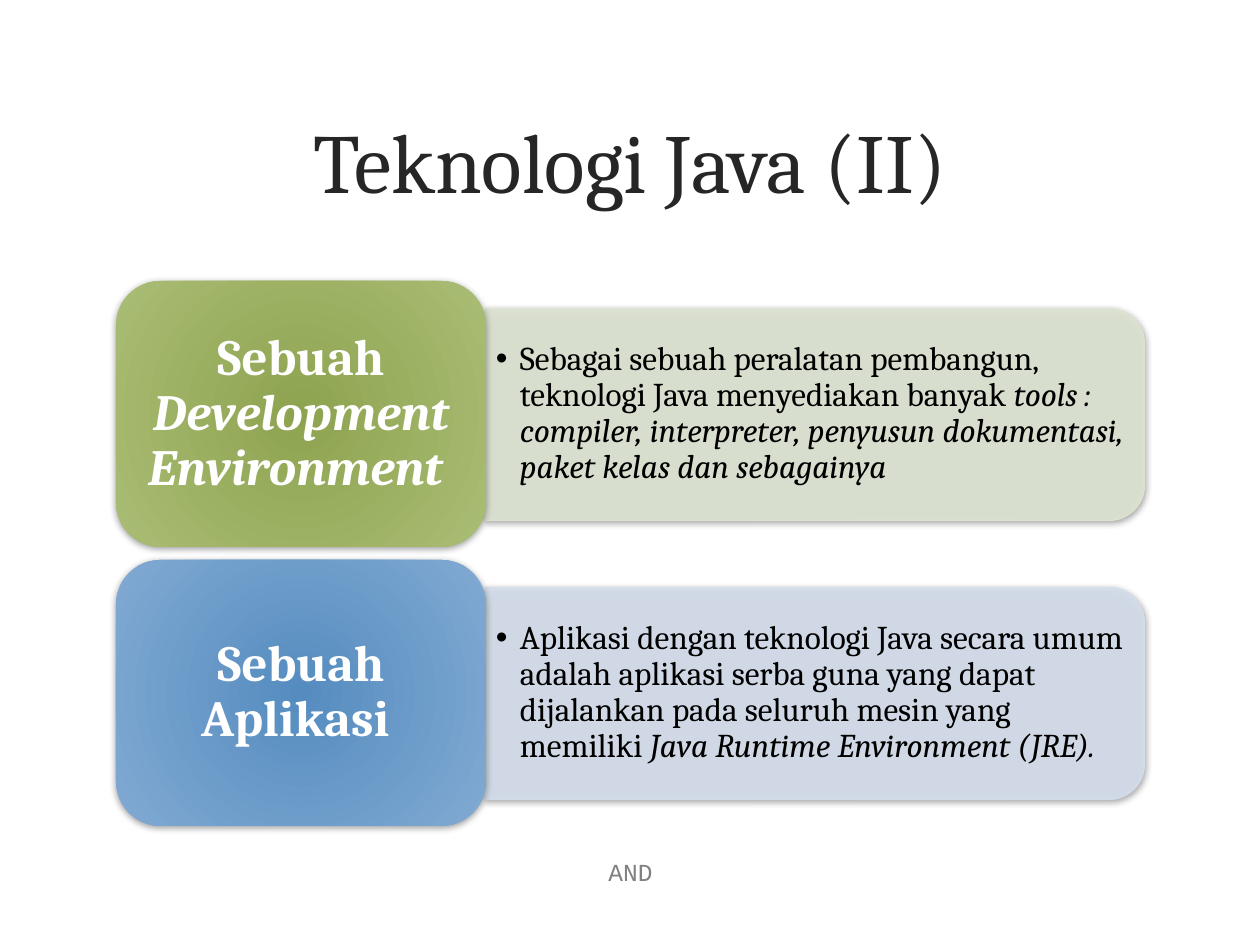
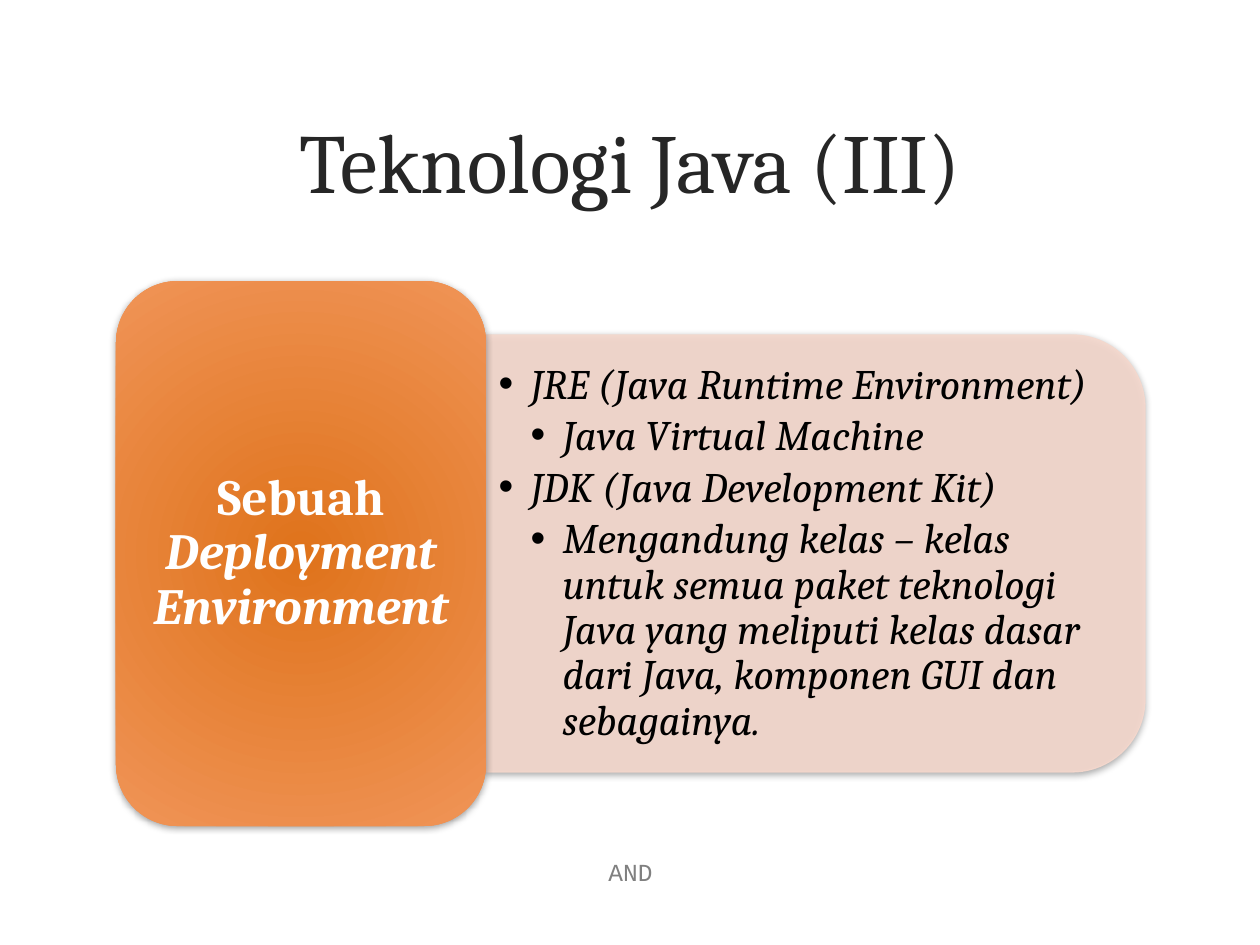
from dataclasses import dataclass
from typing import NamedTuple

from lxml.etree import SubElement
from pptx import Presentation
from pptx.dml.color import RGBColor as Rgb
from pptx.enum.shapes import MSO_SHAPE as Shape
from pptx.enum.text import MSO_ANCHOR as Anchor, MSO_AUTO_SIZE as AutoSize, PP_ALIGN as Align
from pptx.oxml.ns import qn
from pptx.util import Emu, Pt


class Box(NamedTuple):
    left: int
    top: int
    width: int
    height: int


@dataclass(frozen=True)
class Theme:
    serif: str = "Cambria"
    mono: str = "Courier New"
    title: str = "262626"
    text: str = "000000"
    label: str = "FFFFFF"
    footer: str = "808080"
    title_size: int = 48
    label_size: int = 29
    footer_size: int = 14
    list_sizes: tuple = (19, 24)
    list_indents: tuple = (24, 32)
    green: tuple = ("8EA350", "AABD75", "DEE4D2")
    blue: tuple = ("558CBF", "81AAD3", "D4DEEB")
    orange: tuple = ("DF731B", "F09457", "F5D8CD")


THEME = Theme()
PAGE = Box(0, 0, 1260, 945)
TITLE = Box(76, 60, 1108, 199)
DIAGRAM = Box(116, 281, 1029, 545)
FOOTER = Box(431, 847, 399, 50)
TAB_WIDTH = 370
CARD_GAP = 13
CORNER = 0.1667
CORNER_INSET = 0.29
TITLE_ONE_LIST, TITLE_TWO_LISTS = 1, 3

SLIDES = [
    dict(
        title="Teknologi Java (II)",
        layout=TITLE_TWO_LISTS,
        list_style=0,
        cards=[
            dict(
                colours=THEME.green,
                label=[("Sebuah ", False), ("Development Environment ", True)],
                items=[(0, [
                    ("Sebagai sebuah peralatan pembangun, teknologi Java menyediakan banyak ", False),
                    ("tools : compiler, interpreter, penyusun dokumentasi, "
                     "paket kelas dan sebagainya", True),
                ])],
            ),
            dict(
                colours=THEME.blue,
                label=[("Sebuah Aplikasi ", False)],
                items=[(0, [
                    ("Aplikasi dengan teknologi Java secara umum adalah aplikasi serba guna "
                     "yang dapat dijalankan pada seluruh mesin yang memiliki ", False),
                    ("Java Runtime Environment (JRE).", True),
                ])],
            ),
        ],
    ),
    dict(
        title="Teknologi Java (III)",
        layout=TITLE_ONE_LIST,
        list_style=1,
        cards=[
            dict(
                colours=THEME.orange,
                label=[("Sebuah ", False), ("Deployment Environment ", True)],
                items=[
                    (0, [("JRE (Java Runtime Environment)", True)]),
                    (1, [("Java Virtual Machine", True)]),
                    (0, [("JDK (Java Development Kit)", True)]),
                    (1, [("Mengandung kelas – kelas untuk semua paket teknologi Java yang "
                          "meliputi kelas dasar dari Java, komponen GUI dan sebagainya.", True)]),
                ],
            ),
        ],
    ),
]


def px(length):
    return Emu(round(length * 914400 / 126))


def assign(target, values):
    for name, value in values.items():
        setattr(target, name, value)


def place(shape, box):
    assign(shape, {name: px(value) for name, value in box._asdict().items()})


def set_frame(frame, inset=7.2):
    assign(frame, dict(
        word_wrap=True, auto_size=AutoSize.NONE, vertical_anchor=Anchor.MIDDLE,
        margin_left=Pt(inset), margin_right=Pt(inset),
        margin_top=Pt(inset / 2), margin_bottom=Pt(inset / 2),
    ))


def write(para, spans, size, colour, name=THEME.serif, bold=False, **layout):
    assign(para, layout)
    for text, italic in spans:
        span = para.add_run()
        span.text = text
        assign(span.font, dict(size=Pt(size), name=name, bold=bold, italic=italic))
        span.font.color.rgb = Rgb.from_string(colour)


def add_shadow(shape):
    shape.shadow.inherit = False
    effects = shape.element.spPr.find(qn("a:effectLst"))
    shadow = SubElement(effects, qn("a:outerShdw"), blurRad="50800", dist="12700",
                        dir="5400000", rotWithShape="0")
    colour = SubElement(shadow, qn("a:srgbClr"), val="000000")
    SubElement(colour, qn("a:alpha"), val="37000")


def fill_panel(panel, colour):
    panel.fill.solid()
    panel.line.width = Pt(0.75)
    for paint in (panel.fill.fore_color, panel.line.color):
        paint.rgb = Rgb.from_string(colour)
    for node in panel.element.spPr.iter(qn("a:srgbClr")):
        SubElement(node, qn("a:alpha"), val="90000")


def fill_tab(tab, colours):
    tab.line.fill.background()
    tab.fill.gradient()
    for stop, colour in zip(tab.fill.gradient_stops, colours):
        stop.color.rgb = Rgb.from_string(colour)
    gradient = tab.element.spPr.find(qn("a:gradFill"))
    gradient.remove(gradient.find(qn("a:lin")))
    circle = SubElement(gradient, qn("a:path"), path="circle")
    SubElement(circle, qn("a:fillToRect"), l="40000", t="100000", r="40000", b="100000")


def add_panel(page, box, colour):
    shift = (box.width - box.height) // 2
    upright = Box(box.left + shift, box.top - shift, box.height, box.width)
    panel = page.shapes.add_shape(Shape.ROUND_2_SAME_RECTANGLE, *map(px, upright))
    panel.rotation = 90
    fill_panel(panel, colour)
    add_shadow(panel)


def add_tab(page, box, label, colours):
    tab = page.shapes.add_shape(Shape.ROUNDED_RECTANGLE, *map(px, box))
    fill_tab(tab, colours)
    add_shadow(tab)
    set_frame(tab.text_frame, THEME.label_size * 0.3)
    write(tab.text_frame.paragraphs[0], label, THEME.label_size, THEME.label,
          bold=True, alignment=Align.CENTER, line_spacing=0.9)


def set_bullet(para, level, indent):
    para.level = level
    properties = para._p.get_or_add_pPr()
    properties.set("marL", str(px(indent * (level + 1))))
    properties.set("indent", str(-px(indent)))
    SubElement(properties, qn("a:buChar"), char="•")


def fill_list(body, panel, items, style):
    size = THEME.list_sizes[style]
    inset = round(min(panel.width, panel.height) * CORNER * CORNER_INSET)
    place(body, Box(panel.left, panel.top + inset,
                    panel.width - inset, panel.height - 2 * inset))
    body.element.getparent().append(body.element)
    frame = body.text_frame
    set_frame(frame, size * 0.3)
    for number, (level, spans) in enumerate(items):
        para = frame.add_paragraph() if number else frame.paragraphs[0]
        set_bullet(para, level, THEME.list_indents[style])
        write(para, spans, size, THEME.text, alignment=Align.LEFT, line_spacing=0.9,
              space_before=Pt(size * 0.15 if number else 0))


def add_card(page, box, body, card, style):
    edge = round(box.height * 0.1)
    panel = Box(box.left + TAB_WIDTH, box.top + edge,
                box.width - TAB_WIDTH, box.height - 2 * edge)
    add_panel(page, panel, card["colours"][2])
    fill_list(body, panel, card["items"], style)
    add_tab(page, box._replace(width=TAB_WIDTH), card["label"], card["colours"][:2])


def add_diagram(page, box, cards, style):
    bodies = list(page.placeholders)[1:]
    height = (box.height - CARD_GAP * (len(cards) - 1)) // len(cards)
    for number, (body, card) in enumerate(zip(bodies, cards)):
        top = box.top + number * (height + CARD_GAP)
        add_card(page, box._replace(top=top, height=height), body, card, style)


def set_title(page, box, text):
    title = page.shapes.title
    place(title, box)
    set_frame(title.text_frame)
    write(title.text_frame.paragraphs[0], [(text, False)], THEME.title_size,
          THEME.title, alignment=Align.CENTER)


def add_footer(page, box):
    frame = page.shapes.add_textbox(*map(px, box)).text_frame
    set_frame(frame)
    write(frame.paragraphs[0], [("AND", False)], THEME.footer_size, THEME.footer,
          name=THEME.mono, alignment=Align.CENTER)


def add_page(deck, content):
    page = deck.slides.add_slide(deck.slide_layouts[content["layout"]])
    set_title(page, TITLE, content["title"])
    add_diagram(page, DIAGRAM, content["cards"], content["list_style"])
    add_footer(page, FOOTER)


def main():
    deck = Presentation()
    assign(deck, dict(slide_width=px(PAGE.width), slide_height=px(PAGE.height)))
    for content in SLIDES:
        add_page(deck, content)
    deck.save("out.pptx")


if __name__ == "__main__":
    main()
